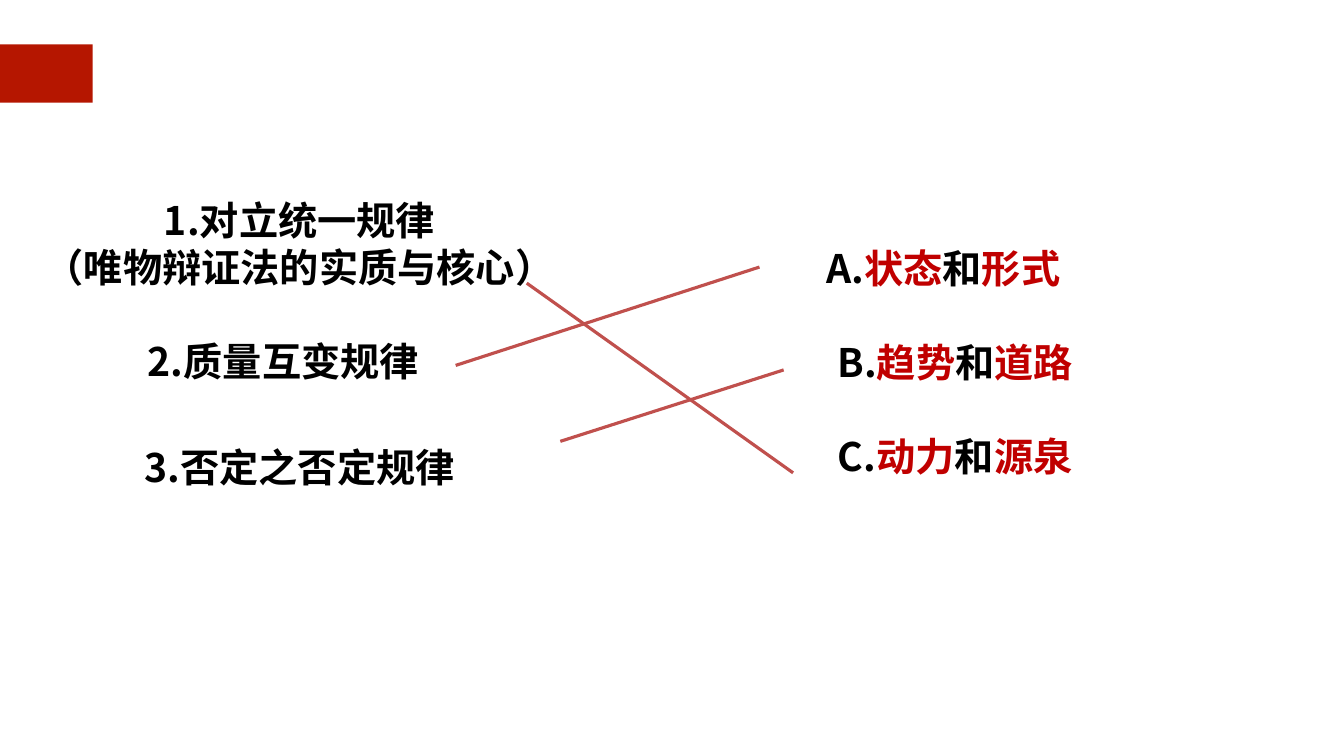
import pptx
import pptx.dml.color
import pptx.enum.shapes
import pptx.enum.text
import pptx.oxml
import pptx.oxml.ns
import pptx.util

Pt = pptx.util.Pt
RGBColor = pptx.dml.color.RGBColor

BLACK = RGBColor(0x00, 0x00, 0x00)
KEYWORD_RED = RGBColor(0xC0, 0x00, 0x00)
BAR_RED = RGBColor(0xB5, 0x16, 0x00)
LINK_RED = RGBColor(0xC0, 0x50, 0x4D)
CJK_FONT = "Noto Sans CJK SC"


def add_text(paragraph, text, size=56, color=BLACK, font=CJK_FONT, bold=True):
    """Append one formatted run to a paragraph."""
    run = paragraph.add_run()
    run.text = text
    run.font.size = Pt(size)
    run.font.bold = bold
    run.font.color.rgb = color
    run.font.name = font
    east_asian = pptx.oxml.parse_xml(
        f'<a:ea {pptx.oxml.ns.nsdecls("a")} typeface="{CJK_FONT}"/>')
    run.font._element.append(east_asian)


class SlideBuilder:
    line_height = 67.2
    link_width = 4.5

    def __init__(self, slide):
        self.slide = slide

    def bar(self, left, top, width, height):
        bar = self.slide.shapes.add_shape(
            pptx.enum.shapes.MSO_SHAPE.RECTANGLE,
            Pt(left), Pt(top), Pt(width), Pt(height))
        bar.shadow.inherit = False
        bar.fill.solid()
        bar.fill.fore_color.rgb = BAR_RED
        bar.line.fill.background()

    def label(self, left, top, width, lines):
        """Each line is a list of (text, format) pairs."""
        box = self.slide.shapes.add_textbox(
            Pt(left), Pt(top), Pt(width), Pt(self.line_height * len(lines)))
        frame = box.text_frame
        frame.word_wrap = True
        frame.auto_size = pptx.enum.text.MSO_AUTO_SIZE.SHAPE_TO_FIT_TEXT
        frame.margin_left = frame.margin_right = 0
        frame.margin_top = frame.margin_bottom = 0
        for index, line in enumerate(lines):
            paragraph = frame.add_paragraph() if index else frame.paragraphs[0]
            paragraph.alignment = pptx.enum.text.PP_ALIGN.CENTER
            paragraph.line_spacing = Pt(self.line_height)
            for text, style in line:
                add_text(paragraph, text, **style)

    def link(self, start, end):
        link = self.slide.shapes.add_connector(
            pptx.enum.shapes.MSO_CONNECTOR.STRAIGHT,
            *(Pt(value) for value in (*start, *end)))
        link.line.color.rgb = LINK_RED
        link.line.width = Pt(self.link_width)
        link._element.spPr.append(pptx.oxml.parse_xml(
            f'<a:effectLst {pptx.oxml.ns.nsdecls("a")}/>'))


def main():
    deck = pptx.Presentation()
    deck.slide_width, deck.slide_height = Pt(1920), Pt(1080)
    builder = SlideBuilder(deck.slides.add_slide(deck.slide_layouts[6]))

    # Red bar at the left edge
    builder.bar(-2, 63.5, 134.5, 83)

    # The three laws
    builder.label(50.5, 280, 755, [
        [("1.对立统一规律", {})],
        [("（唯物辩证法的实质与核心）", {"font": "Roboto"})]])
    builder.label(201, 482.5, 407.5, [[("2.质量互变规律", {})]])
    builder.label(72, 633, 712, [[("3.否定之否定规律", {})]])

    # What each law reveals
    red = {"color": KEYWORD_RED}
    answers = [("A.", "状态", "形式", 427), ("B.", "趋势", "道路", 461),
               ("C.", "动力", "源泉", 461)]
    for row, (letter, first, second, width) in enumerate(answers):
        builder.label(1134, 348.5 + 134.25 * row, width, [
            [(letter, {}), (first, red), ("和", {}), (second, red)]])

    # Matching lines from law to answer
    builder.link((752.5, 404.5), (1133, 675.5))
    builder.link((651, 522), (1085, 381.5))
    builder.link((800.5, 630.5), (1119.5, 528.5))

    deck.save("out.pptx")


if __name__ == "__main__":
    main()
